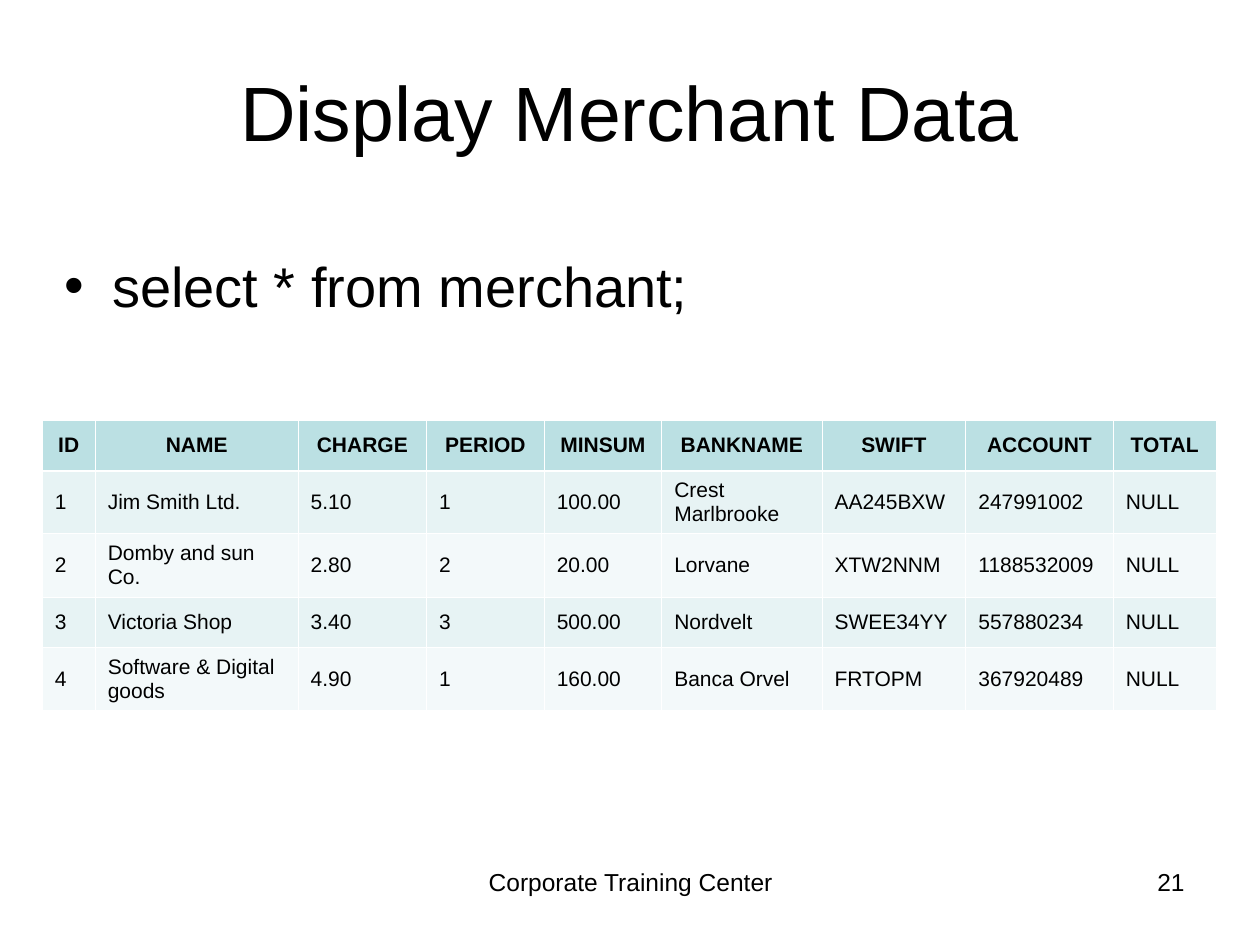
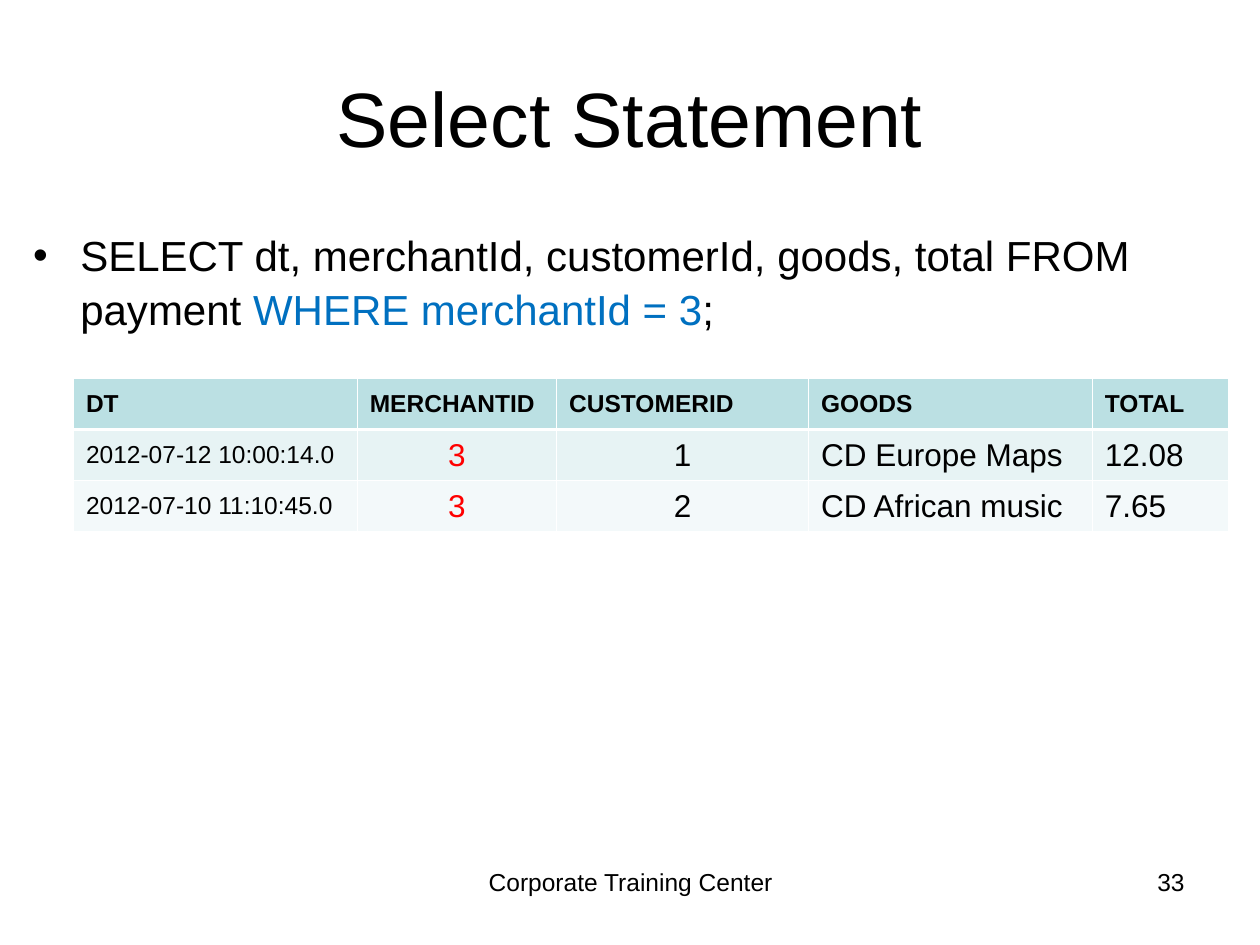
import pptx
import pptx.dml.color
import pptx.enum.text
import pptx.oxml.ns
import pptx.util
from lxml import etree

Cm = pptx.util.Cm
Pt = pptx.util.Pt
ALIGN = pptx.enum.text.PP_ALIGN
MIDDLE = pptx.enum.text.MSO_ANCHOR.MIDDLE

COLORS = {
    "text": "000000",
    "accent": "0070C0",
    "match": "FF0000",
    "header": "BBE0E3",
    "odd": "E7F3F4",
    "even": "F3F9FA",
    "border": "FFFFFF",
}
THIN, THICK = 0.45, 1.47


def rgb(name):
    return pptx.dml.color.RGBColor.from_string(COLORS[name])


def add_element(parent, tag, **attributes):
    return etree.SubElement(parent, pptx.oxml.ns.qn(tag), **attributes)


def write(para, text, size=14, color="text", bold=False, align=ALIGN.LEFT):
    para.alignment = align
    span = para.add_run()
    span.text = text
    span.font.name = "Arial"
    span.font.size = Pt(size)
    span.font.bold = bold
    span.font.color.rgb = rgb(color)


def set_borders(cell, top, bottom):
    """Give the cell white edges; top and bottom widths are in points."""
    properties = cell._tc.get_or_add_tcPr()
    for side, width in (("L", THIN), ("R", THIN), ("T", top), ("B", bottom)):
        line = add_element(properties, f"a:ln{side}", w=str(Pt(width)))
        fill = add_element(line, "a:solidFill")
        add_element(fill, "a:srgbClr", val=COLORS["border"])


class Deck:
    def __init__(self):
        self.deck = pptx.Presentation()
        self.deck.slide_width = Cm(25.4)
        self.deck.slide_height = Cm(19.05)
        self.page = None

    def add_page(self, title, number, top):
        self.page = self.deck.slides.add_slide(self.deck.slide_layouts[5])
        box = self.page.shapes.title
        box.left, box.top, box.width, box.height = Cm(1.27), Cm(top), Cm(22.86), Cm(3.18)
        box.text_frame.vertical_anchor = MIDDLE
        write(box.text_frame.paragraphs[0], title, size=44, align=ALIGN.CENTER)
        footer = self.add_box(8.69, 17.35, 8.05, 1.32)
        write(footer, "Corporate Training Center", align=ALIGN.CENTER)
        write(self.add_box(18.21, 17.35, 5.92, 1.32), number, align=ALIGN.RIGHT)

    def add_box(self, left, top, width, height):
        """Add a wrapping text box and return its first paragraph."""
        box = self.page.shapes.add_textbox(Cm(left), Cm(top), Cm(width), Cm(height))
        box.text_frame.word_wrap = True
        return box.text_frame.paragraphs[0]

    def add_statement(self, place, spans, size):
        """Add a bulleted SQL statement made of (text, color) spans."""
        para = self.add_box(*place)
        para.line_spacing = 1.06
        properties = para._p.get_or_add_pPr()
        properties.set("marL", str(Cm(0.95)))
        properties.set("indent", str(-Cm(0.95)))
        add_element(properties, "a:buFont", typeface="Arial")
        add_element(properties, "a:buChar", char="•")
        for text, color in spans:
            write(para, text, size=size, color=color)

    def add_table(self, left, top, widths, heights, rows, header, columns):
        """Add a banded table; columns holds the body format of each column."""
        table = self.page.shapes.add_table(
            len(rows), len(widths), Cm(left), Cm(top), Cm(sum(widths)), Cm(sum(heights))
        ).table
        for column, width in zip(table.columns, widths):
            column.width = Cm(width)
        for index, (row, height, texts) in enumerate(zip(table.rows, heights, rows)):
            row.height = Cm(height)
            band = "header" if index == 0 else "odd" if index % 2 else "even"
            for cell, text, body in zip(row.cells, texts, columns):
                set_borders(cell, THICK if index == 1 else THIN, THICK if index == 0 else THIN)
                cell.fill.solid()
                cell.fill.fore_color.rgb = rgb(band)
                cell.vertical_anchor = MIDDLE
                write(cell.text_frame.paragraphs[0], text, **(body if index else header))


def add_merchant_page(deck):
    deck.add_page("Display Merchant Data", "21", top=0.64)
    rows = [
        ("ID", "NAME", "CHARGE", "PERIOD", "MINSUM", "BANKNAME", "SWIFT", "ACCOUNT", "TOTAL"),
        ("1", "Jim Smith Ltd.", "5.10", "1", "100.00", "Crest Marlbrooke", "AA245BXW", "247991002", "NULL"),
        ("2", "Domby and sun Co.", "2.80", "2", "20.00", "Lorvane", "XTW2NNM", "1188532009", "NULL"),
        ("3", "Victoria Shop", "3.40", "3", "500.00", "Nordvelt", "SWEE34YY", "557880234", "NULL"),
        ("4", "Software & Digital goods", "4.90", "1", "160.00", "Banca Orvel", "FRTOPM", "367920489", "NULL"),
    ]
    deck.add_table(
        0.85, 8.47,
        widths=[1.07, 4.09, 2.59, 2.37, 2.37, 3.23, 2.9, 2.97, 2.08],
        heights=[1.02, 1.27, 1.27, 1.02, 1.27],
        rows=rows,
        header={"size": 12, "bold": True, "align": ALIGN.CENTER},
        columns=[{"size": 12}] * len(rows[0]),
    )
    deck.add_statement((1.06, 4.87, 22.86, 1.98), [("select * from merchant;", "text")], size=32)


def add_select_page(deck):
    deck.add_page("Select Statement", "33", top=0.76)
    deck.add_statement(
        (0.42, 4.45, 24.55, 12.57),
        [
            ("SELECT dt, merchantId, customerId, goods, total FROM payment ", "text"),
            ("WHERE merchantId = 3", "accent"),
            (";", "text"),
        ],
        size=24,
    )
    deck.add_table(
        1.48, 7.63,
        widths=[5.72, 4.02, 5.08, 5.72, 2.74],
        heights=[1.03, 1.03, 1.03],
        rows=[
            ("DT", "MERCHANTID", "CUSTOMERID", "GOODS", "TOTAL"),
            ("2012-07-12 10:00:14.0", "3", "1", "CD Europe Maps", "12.08"),
            ("2012-07-10 11:10:45.0", "3", "2", "CD African music", "7.65"),
        ],
        header={"size": 14, "bold": True},
        columns=[
            {"size": 14},
            {"size": 18, "color": "match", "align": ALIGN.CENTER},
            {"size": 18, "align": ALIGN.CENTER},
            {"size": 18},
            {"size": 18},
        ],
    )


def main():
    deck = Deck()
    add_merchant_page(deck)
    add_select_page(deck)
    deck.deck.save("out.pptx")


if __name__ == "__main__":
    main()
